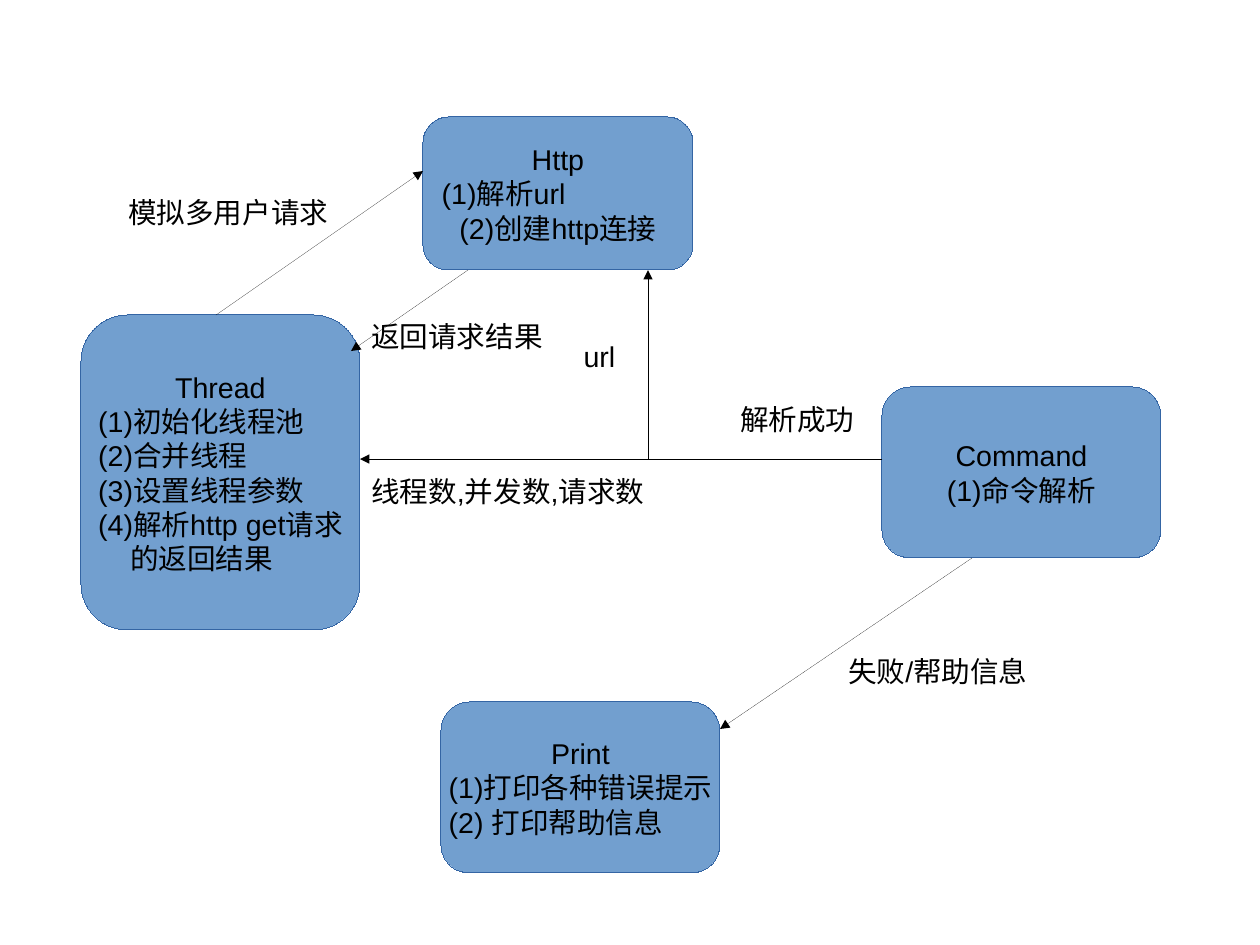
import pptx
import pptx.util
import pptx.dml.color
import pptx.enum.shapes
import pptx.enum.text
import pptx.oxml
import pptx.oxml.ns

BLACK = pptx.dml.color.RGBColor(0x00, 0x00, 0x00)
NODE_FILL = pptx.dml.color.RGBColor(0x72, 0x9F, 0xCF)
NODE_LINE = pptx.dml.color.RGBColor(0x34, 0x65, 0xA4)

COLUMNS, ROWS = 28, 21
SLIDE_WIDTH = pptx.util.Cm(COLUMNS)
SLIDE_HEIGHT = pptx.util.Cm(ROWS)

LEFT = pptx.enum.text.PP_ALIGN.LEFT
CENTER = pptx.enum.text.PP_ALIGN.CENTER
FONT_FORMAT = {"name": "Arial", "size": pptx.util.Pt(18)}
NODE_TEXT_FORMAT = {
    "word_wrap": False,
    "vertical_anchor": pptx.enum.text.MSO_ANCHOR.MIDDLE,
}
LABEL_TEXT_FORMAT = {
    "word_wrap": False,
    "auto_size": pptx.enum.text.MSO_AUTO_SIZE.SHAPE_TO_FIT_TEXT,
}
CONTINUATION_INDENT = pptx.util.Inches(0.28)

NODES = {
    "Command": ((19.6, 8.6, 6.2, 3.8), [("(1)命令解析", CENTER)]),
    "Http": ((9.4, 2.6, 6, 3.4), [("(1)解析url", LEFT), ("(2)创建http连接", CENTER)]),
    "Thread": ((1.8, 7, 6.2, 7), [
        ("(1)初始化线程池", LEFT),
        ("(2)合并线程", LEFT),
        ("(3)设置线程参数", LEFT),
        ("(4)解析http get请求", LEFT),
        ("的返回结果", LEFT),
    ]),
    "Print": ((9.8, 15.6, 6.2, 3.8), [("(1)打印各种错误提示", LEFT), ("(2) 打印帮助信息", LEFT)]),
}
LINKS = [
    ((21.6, 12.4), (16, 16.2)),
    ((19.6, 10.2), (8, 10.2)),
    ((14.4, 10.2), (14.4, 6)),
    ((4.8, 7), (9.4, 3.8)),
    ((10.4, 6), (7.8, 7.8)),
]
LABELS = [
    ("失败/帮助信息", (18.6, 14.4, 4.8, 1.17)),
    ("解析成功", (16.2, 8.8, 3.05, 1.17)),
    ("url", (12.72, 7.4, 1.22, 0.97)),
    ("线程数,并发数,请求数", (8, 10.4, 7.2, 1.17)),
    ("模拟多用户请求", (2.6, 4.2, 5.2, 1.17)),
    ("返回请求结果", (8, 6.96, 4.32, 1.17)),
]


def apply_format(target, values):
    for name, value in values.items():
        setattr(target, name, value)


def grid(column, row):
    return round(column * SLIDE_WIDTH / COLUMNS), round(row * SLIDE_HEIGHT / ROWS)


def place(box):
    left, top, width, height = box
    return *grid(left, top), *grid(width, height)


def draw_hairline(line, color):
    line.color.rgb = color
    outline = line._get_or_add_ln()
    outline.set("w", "0")
    return outline


def write_lines(text_frame, lines):
    for index, (text, alignment) in enumerate(lines):
        paragraph = text_frame.paragraphs[0] if index == 0 else text_frame.add_paragraph()
        paragraph.alignment = alignment
        if index and not text.startswith("("):
            paragraph._p.get_or_add_pPr().set("marL", str(CONTINUATION_INDENT))
        run = paragraph.add_run()
        run.text = text
        apply_format(run.font, FONT_FORMAT)
        run.font.color.rgb = BLACK


def draw_node(slide, box, title, lines):
    shape = slide.shapes.add_shape(
        pptx.enum.shapes.MSO_SHAPE.ROUNDED_RECTANGLE, *place(box))
    shape.shadow.inherit = False
    shape.fill.solid()
    shape.fill.fore_color.rgb = NODE_FILL
    draw_hairline(shape.line, NODE_LINE)
    apply_format(shape.text_frame, NODE_TEXT_FORMAT)
    write_lines(shape.text_frame, [(title, CENTER), *lines])


def draw_link(slide, start, end):
    connector = slide.shapes.add_connector(
        pptx.enum.shapes.MSO_CONNECTOR.STRAIGHT, *grid(*start), *grid(*end))
    namespace = pptx.oxml.ns.nsdecls("a")
    outline = draw_hairline(connector.line, BLACK)
    outline.append(pptx.oxml.parse_xml(f'<a:tailEnd {namespace} type="triangle"/>'))
    connector._element.spPr.append(pptx.oxml.parse_xml(f'<a:effectLst {namespace}/>'))


def draw_label(slide, box, text):
    shape = slide.shapes.add_textbox(*place(box))
    apply_format(shape.text_frame, LABEL_TEXT_FORMAT)
    write_lines(shape.text_frame, [(text, LEFT)])


def main():
    presentation = pptx.Presentation()
    presentation.slide_width = SLIDE_WIDTH
    presentation.slide_height = SLIDE_HEIGHT
    slide = presentation.slides.add_slide(presentation.slide_layouts[6])
    for title, (box, lines) in NODES.items():
        draw_node(slide, box, title, lines)
    for start, end in LINKS:
        draw_link(slide, start, end)
    for text, box in LABELS:
        draw_label(slide, box, text)
    presentation.save("out.pptx")


if __name__ == "__main__":
    main()
